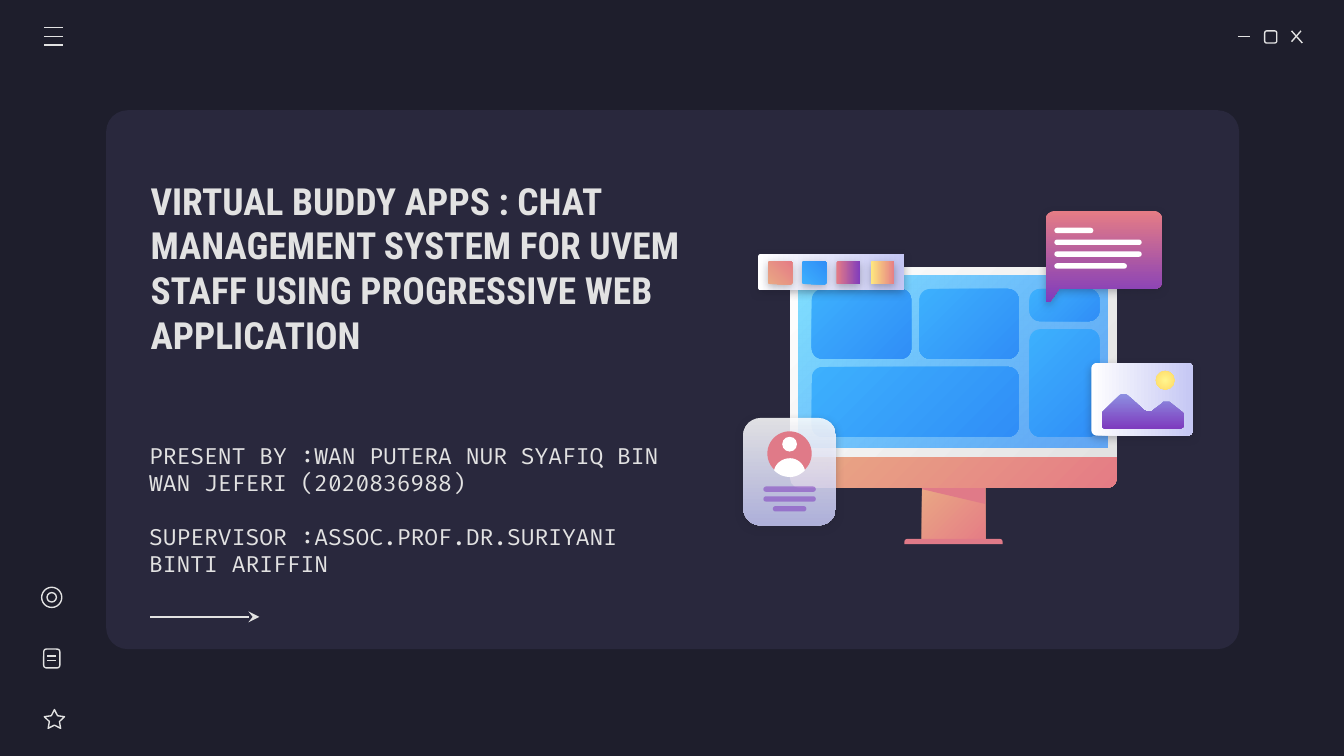
from dataclasses import dataclass
from typing import NamedTuple, Optional

from lxml.etree import SubElement
from pptx import Presentation
from pptx.dml.color import RGBColor
from pptx.enum.shapes import MSO_CONNECTOR, MSO_SHAPE
from pptx.enum.text import MSO_ANCHOR, MSO_AUTO_SIZE, PP_ALIGN
from pptx.oxml.ns import qn
from pptx.util import Inches, Pt

# Every length is counted in cells of a square grid over the slide.
COLUMNS, ROWS = 1000, 562.5
CELL = Inches(10) / COLUMNS
NIGHT, PANEL, PALE, WHITE = "1E1E2C", "29283D", "E2E2E2", "FFFFFF"
ROSE, VIOLET = "E07A88", "7E3BBE"
RECT, ROUND, OVAL = MSO_SHAPE.RECTANGLE, MSO_SHAPE.ROUNDED_RECTANGLE, MSO_SHAPE.OVAL
TOP_ROUND = MSO_SHAPE.ROUND_2_SAME_RECTANGLE


class Paint(NamedTuple):
    """A solid colour, or a gradient when end is given; radial without an angle."""
    start: str
    end: Optional[str] = None
    angle: Optional[int] = 45
    opacity: tuple = (100, 100)


@dataclass
class Block:
    kind: MSO_SHAPE
    left: float
    top: float
    width: float
    height: float
    paint: Optional[Paint] = None  # None gives an outlined icon
    radius: float = 0
    shadow: bool = False
    turn: int = 0
    flipped: bool = False  # round the lower corners in place of the upper ones


class Stroke(NamedTuple):
    x1: float
    y1: float
    x2: float
    y2: float


class Outline(NamedTuple):
    """Steps of two numbers are corners, steps of six are Bezier curves."""
    steps: tuple
    paint: Paint
    shadow: bool = False


PEACH = Paint("E9A984", "E57C85")
AZURE = Paint("3DB0FD", "308EF7")
SUNSET = Paint("E57C85", VIOLET, 90)
PAPER = Paint(WHITE, "C5C7F4", 90)
LILAC = Paint(VIOLET, opacity=(54,))
SNOW, BLUSH = Paint(WHITE), Paint(ROSE)

WINDOW = [Block(ROUND, 79, 82, 843, 401, Paint(PANEL), 16),
          Stroke(921, 27, 930, 27), Block(ROUND, 941, 23, 9, 9, radius=1.5),
          Stroke(961, 23, 969, 32), Stroke(968, 23, 961, 31)]

TILES = [(604, 215, 74, 52), (604, 273, 154, 52), (684, 215, 74, 52),
         (766, 215, 52, 24), (766, 245, 52, 80)]
MONITOR = [Block(RECT, 686, 361, 47, 43, PEACH),
           Block(TOP_ROUND, 673, 401, 73, 4, BLUSH, 2),
           Outline(((686, 361), (686, 364), (733, 375), (733, 361)), BLUSH),
           Block(TOP_ROUND, 588, 339, 243, 24, PEACH, 7, flipped=True),
           Block(TOP_ROUND, 588, 199, 243, 141, Paint(WHITE, PALE), 6),
           Block(RECT, 594, 205, 230, 128, Paint("80DFFF", "318FFA", 45, (100, 72))),
           *[Block(ROUND, *tile, AZURE, 8) for tile in TILES]]

BUBBLE = [Outline(((785, 157), (781, 157, 778, 160, 778, 164), (778, 224),
                   (778, 225, 779, 225, 780, 225), (781, 225), (788, 215), (859, 215),
                   (862, 215, 865, 212, 865, 209), (865, 164),
                   (865, 160, 862, 157, 859, 157)), SUNSET, True),
          *[Block(ROUND, 784.5, 169.5 + 8.8 * row, width, 4, SNOW, 2)
            for row, width in enumerate((29, 65, 65, 54))]]

MENU = [Stroke(33, y, 47, y) for y in (20.5, 27, 33.5)]

PROFILE = [Block(ROUND, 553, 311, 69, 80, Paint(WHITE, "C5C7F4", 90, (86, 86)), 13, True),
           Block(OVAL, 571, 321, 33, 33, BLUSH), Block(OVAL, 582, 325, 11, 11, SNOW),
           Outline(((588, 341), (582, 341, 577, 345, 576, 350),
                    (579, 353, 583, 355, 588, 355), (592, 355, 596, 353, 599, 350),
                    (598, 345, 593, 341, 588, 341)), SNOW),
           *[Block(ROUND, 587.5 - width / 2, 362 + 7.3 * row, width, 4, LILAC, 2)
             for row, width in enumerate((39, 39, 25))]]

PHOTO = [Block(ROUND, 823, 259, 54, 76, PAPER, 4, True, 270),
         Outline(((836, 293), (835, 293, 834, 293, 833, 294), (821, 306),
                  (820, 307, 820, 307, 820, 308), (820, 316),
                  (820, 318, 821, 319, 823, 319), (877, 319),
                  (879, 319, 881, 318, 881, 316), (881, 309),
                  (881, 308, 880, 307, 880, 307), (870, 299),
                  (869, 299, 868, 299, 867, 299), (866, 299, 865, 299, 865, 300),
                  (857, 306), (856, 306, 855, 306, 854, 306),
                  (853, 306, 852, 306, 851, 305), (839, 294),
                  (838, 293, 837, 293, 836, 293)), Paint("8D90E1", VIOLET, 90)),
         Block(OVAL, 860, 276, 14, 14, Paint("FFF68E", "FFD966", None))]

SWATCHES = (PEACH, AZURE, SUNSET, Paint("FFEA7D", "E57C85", 90))
PALETTE = [Block(ROUND, 605, 148, 27, 109, PAPER, 2, True, 270),
           *[Block(ROUND, 572 + 25.4 * column, 194, 17, 18, paint, 1.2, True, 270)
             for column, paint in enumerate(SWATCHES)]]

SIDEBAR = [Block(MSO_SHAPE.STAR_5_POINT, 33, 528, 15, 14),
           Block(ROUND, 32.5, 483, 12, 14, radius=2),
           Stroke(35, 488, 42, 488), Stroke(35, 491.5, 42, 491.5),
           Block(OVAL, 31, 437, 15, 15), Block(OVAL, 35, 441, 7, 7)]


def cells(*counts: float) -> list:
    return [round(count * CELL) for count in counts]


def rgb(value: str) -> RGBColor:
    return RGBColor.from_string(value)


def fill_shape(shape, paint: Paint) -> None:
    fill = shape.fill
    if paint.end:
        fill.gradient()
        for stop, colour in zip(fill.gradient_stops, (paint.start, paint.end)):
            stop.color.rgb = rgb(colour)
        if paint.angle is None:
            gradient = shape.element.spPr.find(qn("a:gradFill"))
            gradient.remove(gradient.find(qn("a:lin")))
            radial = SubElement(gradient, qn("a:path"), path="circle")
            SubElement(radial, qn("a:fillToRect"), dict.fromkeys("ltrb", "50000"))
        else:
            fill.gradient_angle = 360 - paint.angle
    else:
        fill.solid()
        fill.fore_color.rgb = rgb(paint.start)
    for colour, opacity in zip(list(shape.element.spPr.iter(qn("a:srgbClr"))), paint.opacity):
        if opacity < 100:
            SubElement(colour, qn("a:alpha"), val=str(opacity * 1000))


def finish(shape, paint: Optional[Paint], shadow: bool) -> None:
    """Set fill, outline and shadow."""
    if paint:
        fill_shape(shape, paint)
        shape.line.fill.background()
    else:
        shape.fill.background()
        shape.line.color.rgb = rgb(PALE)
        shape.line.width = Pt(0.75)
    shape.shadow.inherit = False
    if shadow:
        effects = shape.element.spPr.find(qn("a:effectLst"))
        outer = SubElement(effects, qn("a:outerShdw"), blurRad=str(Pt(4.5)),
                           dist=str(Pt(1.5)), dir="5400000", algn="bl", rotWithShape="0")
        colour = SubElement(outer, qn("a:srgbClr"), val=NIGHT)
        SubElement(colour, qn("a:alpha"), val="30000")


def draw_block(page, block: Block) -> None:
    shape = page.shapes.add_shape(
        block.kind, *cells(block.left, block.top, block.width, block.height))
    share = block.radius / min(block.width, block.height)
    if block.kind == ROUND:
        shape.adjustments[0] = share
    elif block.kind == TOP_ROUND:
        shape.adjustments[0], shape.adjustments[1] = (0, share) if block.flipped else (share, 0)
    elif block.kind == MSO_SHAPE.STAR_5_POINT:
        shape.adjustments[0] = 0.25
    shape.rotation = block.turn
    finish(shape, block.paint, block.shadow)


def draw_stroke(page, stroke: Stroke, arrow: bool = False) -> None:
    connector = page.shapes.add_connector(MSO_CONNECTOR.STRAIGHT, *cells(*stroke))
    connector.line.color.rgb = rgb(PALE)
    connector.line.width = Pt(0.75)
    properties = connector.element.spPr
    if arrow:
        SubElement(properties.find(qn("a:ln")), qn("a:tailEnd"), type="stealth")
    SubElement(properties, qn("a:effectLst"))


def draw_outline(page, outline: Outline, parts: int = 8) -> None:
    points = [outline.steps[0]]
    for step in outline.steps[1:]:
        if len(step) == 2:
            points.append(step)
            continue
        knots = (points[-1], step[:2], step[2:4], step[4:])
        for part in range(1, parts + 1):
            t = part / parts
            weights = ((1 - t) ** 3, 3 * t * (1 - t) ** 2, 3 * t * t * (1 - t), t ** 3)
            points.append(tuple(sum(w * knot[axis] for w, knot in zip(weights, knots))
                                for axis in (0, 1)))
    builder = page.shapes.build_freeform(*cells(*points[0]))
    builder.add_line_segments([cells(*point) for point in points[1:]], close=True)
    finish(builder.convert_to_shape(), outline.paint, outline.shadow)


def draw(page, parts: list) -> None:
    tools = {Block: draw_block, Stroke: draw_stroke, Outline: draw_outline}
    for part in parts:
        tools[type(part)](page, part)


def write(box, place: tuple, texts: list, font: str, size: int, bold: bool, below: float) -> None:
    """Place a placeholder in front of what is drawn and fill it."""
    box.element.getparent().append(box.element)
    box.left, box.top, box.width, box.height = cells(*place)
    frame = box.text_frame
    frame.word_wrap, frame.auto_size = True, MSO_AUTO_SIZE.NONE
    frame.vertical_anchor = MSO_ANCHOR.MIDDLE
    frame.margin_left = frame.margin_right = frame.margin_top = Inches(0.1)
    frame.margin_bottom = Inches(below)
    for index, text in enumerate(texts):
        para = frame.add_paragraph() if index else frame.paragraphs[0]
        para.alignment, para.line_spacing = PP_ALIGN.LEFT, 1.0
        para.space_before = Pt(size * 1.2 if index else 0)
        span = para.add_run()
        span.text = text
        span.font.name, span.font.size, span.font.bold = font, Pt(size), bold
        span.font.color.rgb = rgb(PALE)


def main() -> None:
    deck = Presentation()
    deck.slide_width, deck.slide_height = cells(COLUMNS, ROWS)
    page = deck.slides.add_slide(deck.slide_layouts[0])
    page.background.fill.solid()
    page.background.fill.fore_color.rgb = rgb(NIGHT)
    draw(page, WINDOW)
    write(page.placeholders[1], (101, 366, 410, 46),
          ["PRESENT BY :WAN PUTERA NUR SYAFIQ BIN WAN JEFERI (2020836988)",
           "SUPERVISOR :ASSOC.PROF.DR.SURIYANI BINTI ARIFFIN"],
          "Fira Code", 12, False, 0.3)
    write(page.shapes.title, (102, 111, 447, 176),
          ["VIRTUAL BUDDY APPS : CHAT MANAGEMENT SYSTEM FOR UVEM "
           "STAFF USING PROGRESSIVE WEB APPLICATION"],
          "Roboto Condensed", 20, True, 0.1)
    draw(page, MONITOR + BUBBLE + MENU + PROFILE + PHOTO + PALETTE + SIDEBAR)
    draw_stroke(page, Stroke(112, 459, 193, 459), arrow=True)
    deck.save("out.pptx")


if __name__ == "__main__":
    main()
